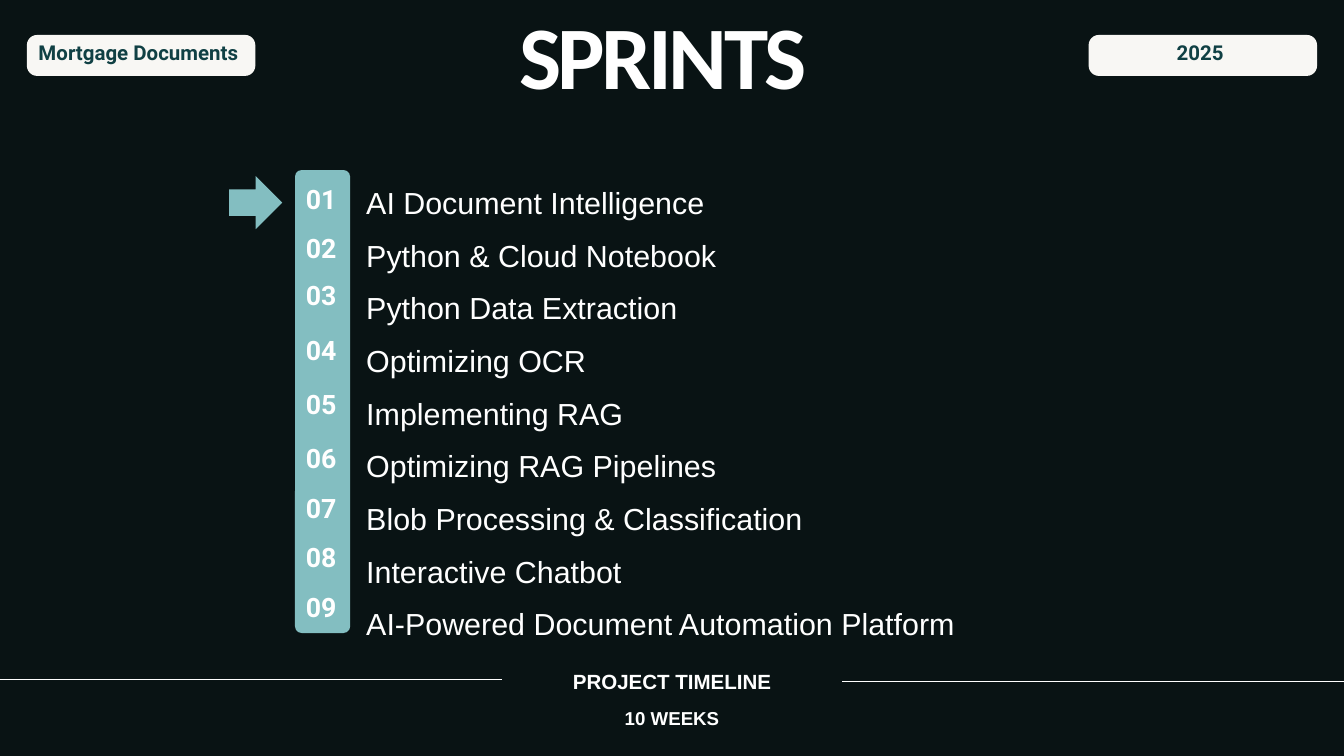
from lxml import etree
from pptx import Presentation, util as u
from pptx.dml.color import RGBColor
from pptx.enum import shapes, text
from pptx.oxml.ns import qn

WIDTH, HEIGHT = 20, 11.25
COLUMNS = ROWS = 100
NIGHT, WHITE, CREAM, TEAL, PINE = "091314", "FFFFFF", "F8F7F4", "83BEC1", "104044"

SPRINTS = [
    ("01", 25.87, "AI Document Intelligence"),
    ("02", 32.27, "Python & Cloud Notebook"),
    ("03", 38.58, "Python Data Extraction"),
    ("04", 45.78, "Optimizing OCR"),
    ("05", 52.98, "Implementing RAG"),
    ("06", 60.09, "Optimizing RAG Pipelines"),
    ("07", 66.67, "Blob Processing & Classification"),
    ("08", 73.16, "Interactive Chatbot"),
    ("09", 79.73, "AI-Powered Document Automation Platform"),
]
BADGES = [(2, "Mortgage Documents"), (81, "2025")]
FOOTER = [
    ("PROJECT TIMELINE", 87.73, 3.82, 22, 32.3),
    ("10 WEEKS", 92.89, 3.47, 20, 29.4),
]
RULES = [(0, 37.35, 89.87), (62.65, 100, 90.13)]

CENTER, LEFT = text.PP_ALIGN.CENTER, text.PP_ALIGN.LEFT
TITLE = dict(name="Calibri", size=95.6, color=WHITE, bold=True)
ITEM = dict(name="Arial", size=32.6, color=WHITE, bold=False)
NUMBER = dict(name="Roboto", size=28.6, color=WHITE, bold=True)
BADGE = dict(name="Roboto", size=21.9, color=PINE, bold=True)


def rgb(value):
    return RGBColor.from_string(value)


def across(columns):
    return u.Inches(columns * WIDTH / COLUMNS)


def down(rows):
    return u.Inches(rows * HEIGHT / ROWS)


def place(left, top, width, height):
    return across(left), down(top), across(width), down(height)


def add_block(page, kind, area, color, corner=None):
    block = page.shapes.add_shape(kind, *place(*area))
    block.shadow.inherit = False
    block.fill.solid()
    block.fill.fore_color.rgb = rgb(color)
    block.line.fill.background()
    if corner is not None:
        block.adjustments[0] = corner


def add_text(page, area, lines, style, leading, align=CENTER, tracking=None):
    frame = page.shapes.add_textbox(*place(*area)).text_frame
    settings = dict(margin_left=0, margin_right=0, margin_top=0, margin_bottom=0,
                    word_wrap=True, auto_size=text.MSO_AUTO_SIZE.SHAPE_TO_FIT_TEXT)
    for name, value in settings.items():
        setattr(frame, name, value)
    for index, line in enumerate(lines):
        para = frame.add_paragraph() if index else frame.paragraphs[0]
        para.alignment = align
        para.line_spacing = u.Pt(leading)
        span = para.add_run()
        span.text = line
        for name, value in style.items():
            if name == "color":
                span.font.color.rgb = rgb(value)
            else:
                setattr(span.font, name, u.Pt(value) if name == "size" else value)
        if tracking is not None:
            span._r.get_or_add_rPr().set("spc", str(round(tracking * 100)))


def add_rule(page, start, end, row):
    rule = page.shapes.add_connector(shapes.MSO_CONNECTOR.STRAIGHT,
                                     across(start), down(row), across(end), down(row))
    rule.line.color.rgb = rgb(WHITE)
    rule.line.width = u.Pt(1.5)
    etree.SubElement(rule._element.spPr, qn("a:effectLst"))


def main():
    deck = Presentation()
    deck.slide_width, deck.slide_height = u.Inches(WIDTH), u.Inches(HEIGHT)
    page = deck.slides.add_slide(deck.slide_layouts[6])
    page.background.fill.solid()
    page.background.fill.fore_color.rgb = rgb(NIGHT)

    for rule in RULES:
        add_rule(page, *rule)

    rounded = shapes.MSO_SHAPE.ROUNDED_RECTANGLE
    add_block(page, rounded, (21.95, 22.49, 4.1, 61.24), TEAL, 0.12)
    add_block(page, shapes.MSO_SHAPE.RIGHT_ARROW, (17.05, 23.29, 3.95, 7.02), TEAL)
    for left, label in BADGES:
        add_block(page, rounded, (left, 4.62, 17, 5.42), CREAM, 0.25)
        add_text(page, (left + 0.5, 6.58, 15.6, 2.31), [label], BADGE, 16.2)

    add_text(page, (32.5, 3.47, 33.65, 14.04), ["SPRINTS"], TITLE, 87, tracking=-3.7)
    add_text(page, (27.25, 22.22, 45.3, 61.51), [name for _, _, name in SPRINTS],
             ITEM, 56.4, LEFT)
    for number, top, _ in SPRINTS:
        add_text(page, (22, top, 3.8, 2.93), [number], NUMBER, 21.1)
    for label, top, height, size, leading in FOOTER:
        add_text(page, (38.3, top, 23.4, height), [label],
                 dict(ITEM, size=size, bold=True), leading)

    deck.save("out.pptx")


if __name__ == "__main__":
    main()
